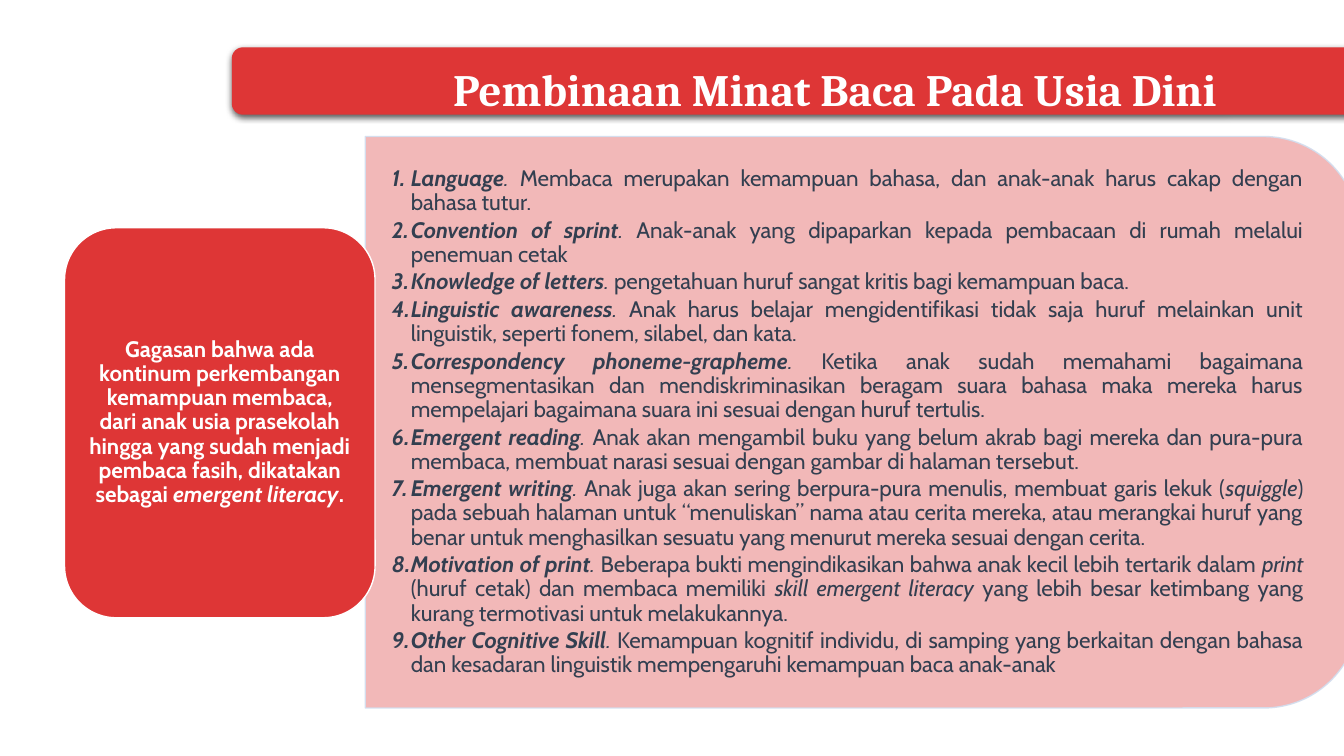
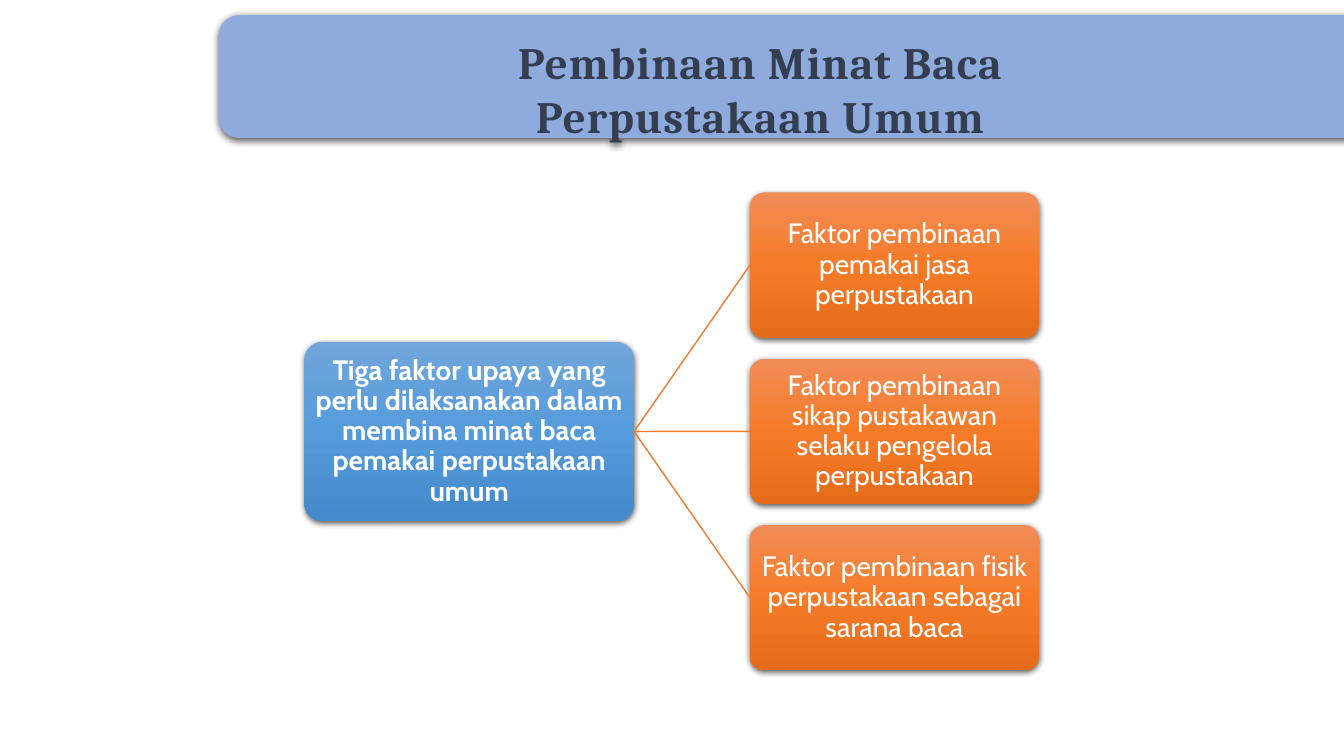
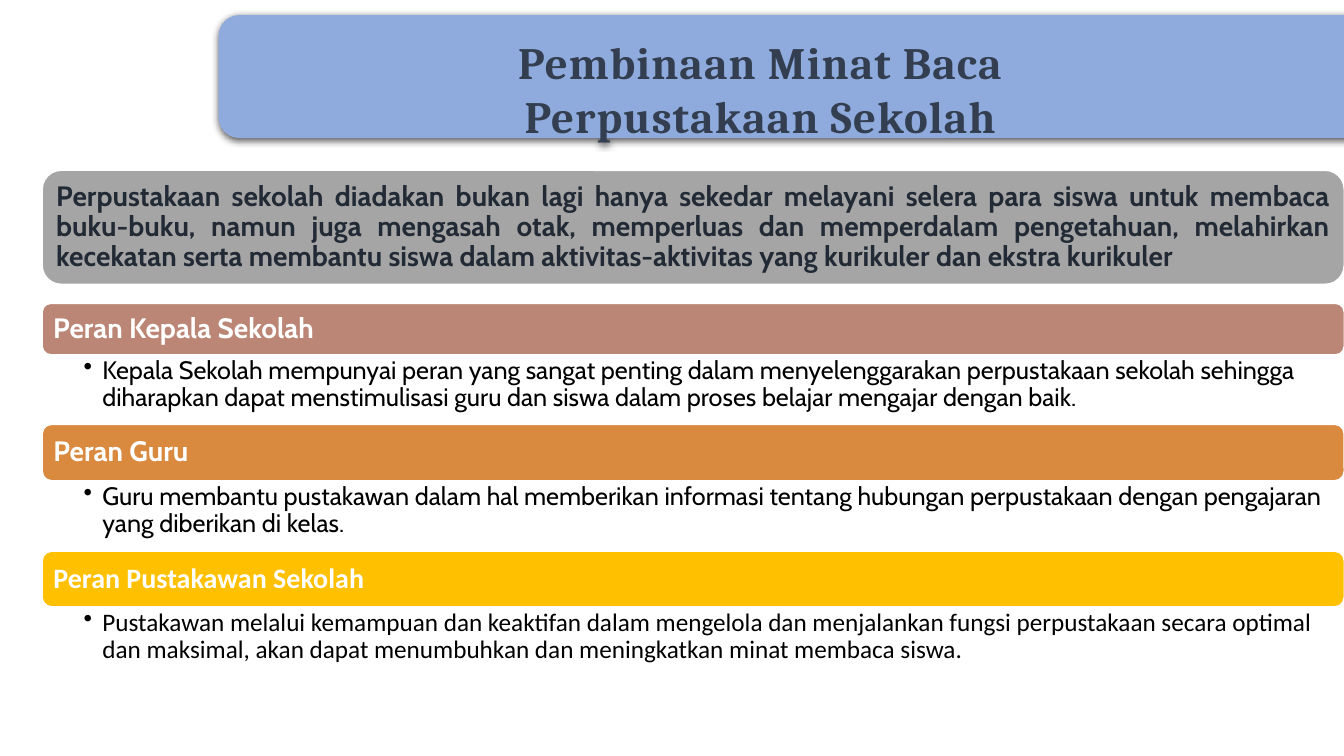
from copy import deepcopy

from pptx import Presentation
from pptx.dml.color import RGBColor
from pptx.enum.shapes import MSO_CONNECTOR, MSO_SHAPE
from pptx.enum.text import MSO_ANCHOR, PP_ALIGN
from pptx.oxml import parse_xml
from pptx.oxml.ns import nsdecls, qn
from pptx.util import Pt

# Shared style
COLORS = {
    "red": "DE3636", "pink": "F1B1B1", "pale": "D2DEEF", "blue": "8FAADC",
    "slate": "333F50", "navy": "222A35", "gray": "A5A5A5", "orange": "ED7D31",
    "rose": "BB8676", "amber": "D98A3F", "gold": "FFC000",
    "white": "FFFFFF", "black": "000000",
}
BLUE_GRADIENT = ["71A6DB", "559BDB", "448ACA"]
ORANGE_GRADIENT = ["F18C57", "F67B28", "E56C19"]
BODY_FONT, TITLE_FONT = "Cabin", "Cambria"

# Content; asterisks enclose italics
EARLY_TITLE = ["Pembinaan Minat Baca Pada Usia Dini"]
EARLY_IDEA = ("Gagasan bahwa ada kontinum perkembangan kemampuan membaca, dari anak usia "
              "prasekolah hingga yang sudah menjadi pembaca fasih, dikatakan sebagai "
              "*emergent literacy*.")
EARLY_SKILLS = [
    ("Language", "Membaca merupakan kemampuan bahasa, dan anak-anak harus cakap dengan "
     "bahasa tutur."),
    ("Convention of sprint", "Anak-anak yang dipaparkan kepada pembacaan di rumah melalui "
     "penemuan cetak"),
    ("Knowledge of letters", "pengetahuan huruf sangat kritis bagi kemampuan baca."),
    ("Linguistic awareness", "Anak harus belajar mengidentifikasi tidak saja huruf melainkan "
     "unit linguistik, seperti fonem, silabel, dan kata."),
    ("Correspondency phoneme-grapheme", "Ketika anak sudah memahami bagaimana "
     "mensegmentasikan dan mendiskriminasikan beragam suara bahasa maka mereka harus "
     "mempelajari bagaimana suara ini sesuai dengan huruf tertulis."),
    ("Emergent reading", "Anak akan mengambil buku yang belum akrab bagi mereka dan pura-pura "
     "membaca, membuat narasi sesuai dengan gambar di halaman tersebut."),
    ("Emergent writing", "Anak juga akan sering berpura-pura menulis, membuat garis lekuk "
     "(*squiggle*) pada sebuah halaman untuk “menuliskan” nama atau cerita mereka, atau "
     "merangkai huruf yang benar untuk menghasilkan sesuatu yang menurut mereka sesuai "
     "dengan cerita."),
    ("Motivation of print", "Beberapa bukti mengindikasikan bahwa anak kecil lebih tertarik "
     "dalam *print *(huruf cetak) dan membaca memiliki *skill emergent literacy *yang lebih "
     "besar ketimbang yang kurang termotivasi untuk melakukannya."),
    ("Other Cognitive Skill", "Kemampuan kognitif individu, di samping yang berkaitan dengan "
     "bahasa dan kesadaran linguistik mempengaruhi kemampuan baca anak-anak"),
]

PUBLIC_TITLE = ["Pembinaan Minat Baca", "Perpustakaan Umum"]
PUBLIC_ROOT = ("Tiga faktor upaya yang perlu dilaksanakan dalam membina minat baca pemakai "
               "perpustakaan umum")
PUBLIC_FACTORS = [
    "Faktor pembinaan pemakai jasa perpustakaan",
    "Faktor pembinaan sikap pustakawan selaku pengelola perpustakaan",
    "Faktor pembinaan fisik perpustakaan sebagai sarana baca",
]

SCHOOL_TITLE = ["Pembinaan Minat Baca", "Perpustakaan Sekolah"]
SCHOOL_INTRO = ("Perpustakaan sekolah diadakan bukan lagi hanya sekedar melayani selera para "
                "siswa untuk membaca buku-buku, namun juga mengasah otak, memperluas dan "
                "memperdalam pengetahuan, melahirkan kecekatan serta membantu siswa dalam "
                "aktivitas-aktivitas yang kurikuler dan ekstra kurikuler")
# heading, text, band colour, font, band height, text height
SCHOOL_ROLES = [
    ("Peran Kepala Sekolah", "Kepala Sekolah mempunyai peran yang sangat penting dalam "
     "menyelenggarakan perpustakaan sekolah sehingga diharapkan dapat menstimulisasi guru dan "
     "siswa dalam proses belajar mengajar dengan baik.", "rose", BODY_FONT, 36.7, 49.7),
    ("Peran Guru", "Guru membantu pustakawan dalam hal memberikan informasi tentang hubungan "
     "perpustakaan dengan pengajaran yang diberikan di kelas.",
     "amber", BODY_FONT, 40.3, 50.4),
    ("Peran Pustakawan Sekolah", "Pustakawan melalui kemampuan dan keaktifan dalam mengelola "
     "dan menjalankan fungsi perpustakaan secara optimal dan maksimal, akan dapat menumbuhkan "
     "dan meningkatkan minat membaca siswa.", "gold", "Calibri", 39.6, 78),
]


def rgb(name):
    return RGBColor.from_string(COLORS.get(name, name))


def add_box(slide, box, fill, line=None, kind=MSO_SHAPE.ROUNDED_RECTANGLE, shadow=False):
    """Preset shape; fill is a colour name or a list of gradient colours."""
    s = slide.shapes.add_shape(kind, *map(Pt, box))
    if isinstance(fill, list):
        s.fill.gradient()
        s.fill.gradient_angle = 270
        stops = s._element.spPr.find(qn("a:gradFill")).find(qn("a:gsLst"))
        stops.append(deepcopy(stops[-1]))
        for i, (stop, color) in enumerate(zip(s.fill.gradient_stops, fill)):
            stop.position = i / 2
            stop.color.rgb = rgb(color)
    else:
        s.fill.solid()
        s.fill.fore_color.rgb = rgb(fill)
    if line:
        s.line.color.rgb = rgb(line)
        s.line.width = Pt(1)
    else:
        s.line.fill.background()
    s.shadow.inherit = False
    if shadow:
        s._element.spPr.find(qn("a:effectLst")).append(parse_xml(
            f'<a:outerShdw {nsdecls("a")} blurRad="57150" dist="19050" dir="5400000" '
            'algn="ctr" rotWithShape="0"><a:srgbClr val="000000"><a:alpha val="63000"/>'
            '</a:srgbClr></a:outerShdw>'))
    return s


def setup_frame(s, insets, anchor=MSO_ANCHOR.MIDDLE):
    """Insets are left, top, right, bottom."""
    tf = s.text_frame
    tf.word_wrap = True
    tf.vertical_anchor = anchor
    tf.margin_left, tf.margin_top, tf.margin_right, tf.margin_bottom = map(Pt, insets)
    return tf


def split_italics(text, bold=False):
    return [(part, bold, i % 2 == 1) for i, part in enumerate(text.split("*")) if part]


def write(p, runs, size, color, font=BODY_FONT, align=PP_ALIGN.LEFT, spacing=0.9):
    """Runs are (text, bold, italic)."""
    p.alignment = align
    p.line_spacing = spacing
    for text, bold, italic in runs:
        r = p.add_run()
        r.text = text
        r.font.name, r.font.size = font, Pt(size)
        r.font.bold, r.font.italic = bold, italic
        r.font.color.rgb = rgb(color)


def add_bullet(p, tag, **attrs):
    pPr = p._p.get_or_add_pPr()
    pPr.set("marL", str(Pt(13.5)))
    pPr.set("indent", str(-Pt(13.5)))
    bullet = parse_xml(f'<a:{tag} {nsdecls("a")}/>')
    for key, value in attrs.items():
        bullet.set(key, value)
    pPr.append(bullet)


def add_title(slide, lines, box, fill, color, insets, spc=0):
    s = add_box(slide, box, fill, shadow=True)
    tf = setup_frame(s, insets, MSO_ANCHOR.TOP)
    for i, line in enumerate(lines):
        p = tf.add_paragraph() if i else tf.paragraphs[0]
        write(p, [(line, True, False)], 32, color, TITLE_FONT, PP_ALIGN.CENTER, 1.0)
        if spc:
            p.runs[0].font._element.set("spc", str(spc))


def add_library_title(slide, lines):
    add_title(slide, lines, (156.2, 10.8, 833.8, 87.8), "blue", "slate", (7.2, 10, 67, 0), 80)


def early_age(slide):
    add_title(slide, EARLY_TITLE, (165.6, 33.8, 825.8, 48.2), "red", "white", (43.2, 8, 7.2, 0))
    # Panel, turned so that its round corners face right
    panel = add_box(slide, (411.8, -53.3, 408.2, 709.9), "pink", "pale",
                    MSO_SHAPE.ROUND_2_SAME_RECTANGLE)
    panel.rotation = 90
    for part in (panel.fill, panel.line.fill):
        color = part._xPr.find(qn("a:solidFill"))[0]
        color.append(parse_xml(f'<a:alpha {nsdecls("a")} val="90000"/>'))
    # Numbered skills
    skills = slide.shapes.add_textbox(*map(Pt, (260.6, 117.4, 689.8, 368.6)))
    tf = setup_frame(skills, (19.4, 10, 19.4, 10))
    for i, (term, text) in enumerate(EARLY_SKILLS):
        p = tf.add_paragraph() if i else tf.paragraphs[0]
        runs = [(term, True, True), (". ", False, True)] + split_italics(text)
        write(p, runs, 16, "slate", align=PP_ALIGN.JUSTIFY)
        p.space_after = Pt(2.4)
        add_bullet(p, "buAutoNum", type="arabicPeriod")
    # Main idea
    idea = add_box(slide, (46.1, 162.7, 221.8, 278.6), "red", "white")
    tf = setup_frame(idea, (5, 2, 5, 2))
    write(tf.paragraphs[0], split_italics(EARLY_IDEA, True), 16, "white", align=PP_ALIGN.CENTER)


def public_library(slide):
    add_library_title(slide, PUBLIC_TITLE)

    def add_node(text, box, gradient, bold=False):
        s = add_box(slide, box, gradient, shadow=True)
        s.adjustments[0] = 0.1
        tf = setup_frame(s, (1, 1, 1, 1))
        write(tf.paragraphs[0], [(text, bold, False)], 20, "white", align=PP_ALIGN.CENTER)
        return s

    root = add_node(PUBLIC_ROOT, (217.5, 244.1, 235.4, 128.2), BLUE_GRADIENT, True)
    for i, text in enumerate(PUBLIC_FACTORS):
        factor = add_node(text, (535.7, 137.5 + 118.8 * i, 206.6, 103.7), ORANGE_GRADIENT)
        link = slide.shapes.add_connector(MSO_CONNECTOR.STRAIGHT, 0, 0, 0, 0)
        link.begin_connect(root, 3)
        link.end_connect(factor, 1)
        link.line.color.rgb = rgb("orange")
        link.line.width = Pt(1)
        link._element.spPr.append(parse_xml(f'<a:effectLst {nsdecls("a")}/>'))


def school_library(slide):
    add_library_title(slide, SCHOOL_TITLE)
    left, width, top = 30.2, 930, 216.7

    def add_band(text, y, height, fill, color, font=BODY_FONT, align=PP_ALIGN.LEFT):
        s = add_box(slide, (left, y, width, height), fill, "white")
        tf = setup_frame(s, (6, 6, 6, 6))
        write(tf.paragraphs[0], [(text, True, False)], 20, color, font, align)

    add_band(SCHOOL_INTRO, 121.7, 81.4, "gray", "navy", align=PP_ALIGN.JUSTIFY)
    for heading, text, fill, font, band_height, text_height in SCHOOL_ROLES:
        add_band(heading, top, band_height, fill, "white", font)
        top += band_height
        body = slide.shapes.add_textbox(*map(Pt, (left, top, width, text_height)))
        p = setup_frame(body, (29.5, 2, 10, 2), MSO_ANCHOR.TOP).paragraphs[0]
        write(p, [(text, False, False)], 18, "black", font)
        add_bullet(p, "buChar", char="•")
        top += text_height


def main():
    prs = Presentation()
    prs.slide_width, prs.slide_height = Pt(960), Pt(540)
    for build in (early_age, public_library, school_library):
        build(prs.slides.add_slide(prs.slide_layouts[6]))
    prs.save("out.pptx")


if __name__ == "__main__":
    main()
